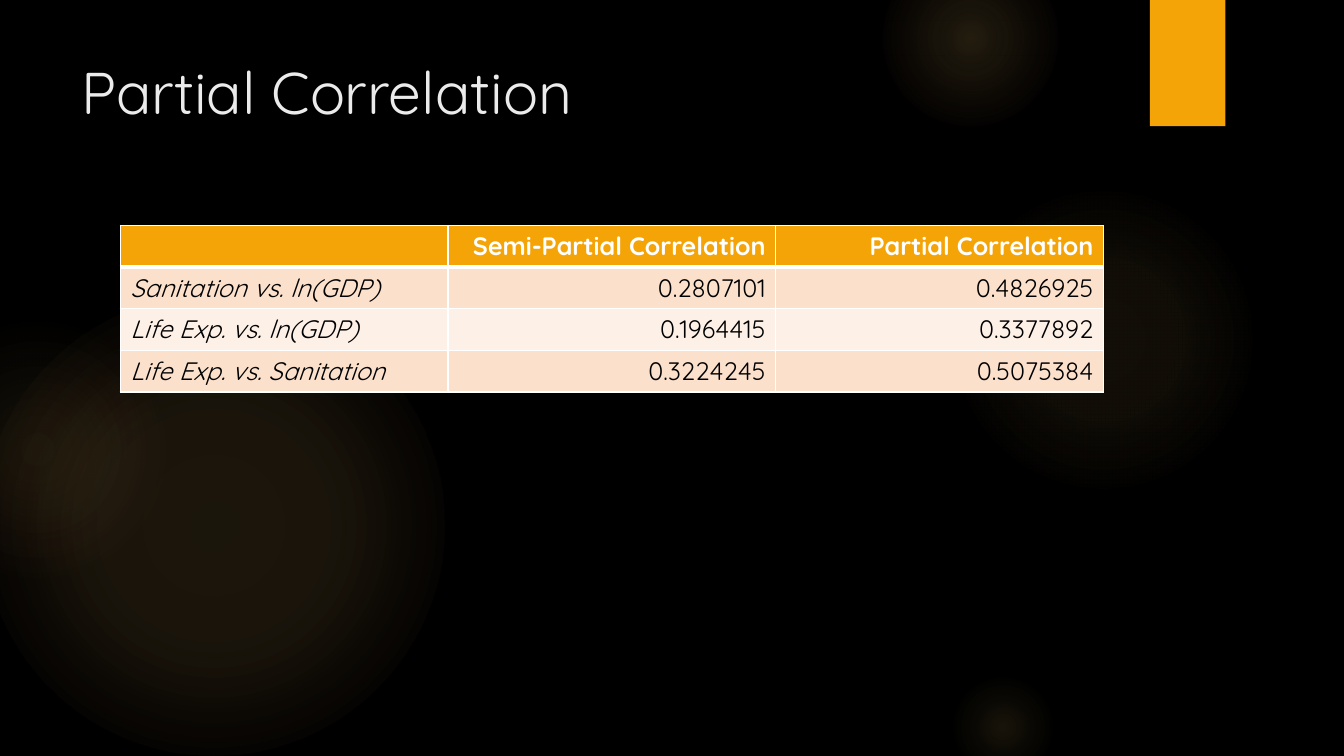
from lxml import etree
from pptx import Presentation
from pptx.dml.color import RGBColor
from pptx.enum import shapes, text
from pptx.oxml import ns
from pptx.util import Cm, Pt

BLACK = RGBColor(0x00, 0x00, 0x00)
WHITE = RGBColor(0xFF, 0xFF, 0xFF)
PALE = RGBColor(0xEB, 0xEB, 0xEB)
ORANGE = RGBColor(0xF5, 0xA4, 0x08)
GOLD = RGBColor(0xFA, 0xC9, 0x6A)
CORAL = RGBColor(0xF5, 0x9B, 0x74)
PEACH = RGBColor(0xFB, 0xE0, 0xCC)
CREAM = RGBColor(0xFD, 0xF0, 0xE7)
FONT = "Quicksand"


def add(root, tag, **attrs):
    """Append a drawing element, with its attributes, to root."""
    node = etree.SubElement(root, ns.qn("a:" + tag))
    for key, value in attrs.items():
        node.set(key, str(value))
    return node


def style(run, size, color):
    run.font.name = FONT
    run.font.size = Pt(size)
    run.font.color.rgb = color


prs = Presentation()
prs.slide_width, prs.slide_height = Cm(33.87), Cm(19.05)
slide = prs.slides.add_slide(prs.slide_layouts[6])
slide.background.fill.solid()
slide.background.fill.fore_color.rgb = BLACK

# Glows: left, top, diameter, then stops of (position %, opacity %, colour)
glows = [
    (-0.43, 7.42, 11.63, [(0, 11, GOLD), (36, 10, GOLD), (75, 0, GOLD)]),
    (-2.34, 8.05, 6.55, [(0, 8, GOLD), (36, 5, GOLD), (71, 0, CORAL)]),
    (23.9, 4.65, 7.82, [(0, 7, GOLD), (36, 6, GOLD), (69, 0, GOLD)]),
    (22.23, -1.27, 4.45, [(0, 14, GOLD), (36, 7, GOLD), (73, 0, GOLD)]),
    (23.9, 16.94, 2.74, [(0, 10, GOLD), (31, 5, GOLD), (66, 0, GOLD)]),
]
for left, top, size, stops in glows:
    glow = slide.shapes.add_shape(shapes.MSO_SHAPE.OVAL, Cm(left), Cm(top), Cm(size), Cm(size))
    glow.shadow.inherit = False
    glow.line.fill.background()
    glow.fill.background()
    props = glow.fill._xPr
    grad = add(props, "gradFill", rotWithShape=1)
    props.replace(props.find(ns.qn("a:noFill")), grad)
    row = add(grad, "gsLst")
    for pos, alpha, color in stops:
        tint = add(add(row, "gs", pos=pos * 1000), "srgbClr", val=color)
        add(tint, "alpha", val=alpha * 1000)
    add(add(grad, "path", path="circle"), "fillToRect", l=50000, t=50000, r=50000, b=50000)

tab = slide.shapes.add_shape(shapes.MSO_SHAPE.RECTANGLE, Cm(28.98), 0, Cm(1.9), Cm(3.18))
tab.shadow.inherit = False
tab.line.fill.background()
tab.fill.solid()
tab.fill.fore_color.rgb = ORANGE

title = slide.shapes.add_textbox(Cm(1.8), Cm(1.27), Cm(26.14), Cm(3.89))
title.text_frame.word_wrap = True
title.text_frame.text = "Partial Correlation"
style(title.text_frame.paragraphs[0].runs[0], 42, PALE)

data = [
    ("", "Semi-Partial Correlation", "Partial Correlation"),
    ("Sanitation vs. ln(GDP)", "0.2807101", "0.4826925"),
    ("Life Exp. vs. ln(GDP)", "0.1964415", "0.3377892"),
    ("Life Exp. vs. Sanitation", "0.3224245", "0.5075384"),
]
fills = [ORANGE, PEACH, CREAM, PEACH]
grid = slide.shapes.add_table(4, 3, Cm(3.03), Cm(5.68), Cm(24.78), Cm(4.2)).table
for col in grid.columns:
    col.width = Cm(8.26)
for r, words in enumerate(data):
    grid.rows[r].height = Cm(1.05)
    for c, word in enumerate(words):
        cell = grid.cell(r, c)
        props = cell._tc.get_or_add_tcPr()
        for side in "LRTB":
            thick = (r, side) in [(0, "B"), (1, "T")]
            edge = add(props, "ln" + side, w=Pt(3 if thick else 1))
            add(add(edge, "solidFill"), "srgbClr", val=WHITE)
        cell.fill.solid()
        cell.fill.fore_color.rgb = fills[r]
        cell.text_frame.text = word
        para = cell.text_frame.paragraphs[0]
        para.alignment = text.PP_ALIGN.RIGHT if c else text.PP_ALIGN.LEFT
        for run in para.runs:
            style(run, 18, BLACK if r else WHITE)
            run.font.bold = r == 0
            run.font.italic = c == 0

prs.save("out.pptx")
